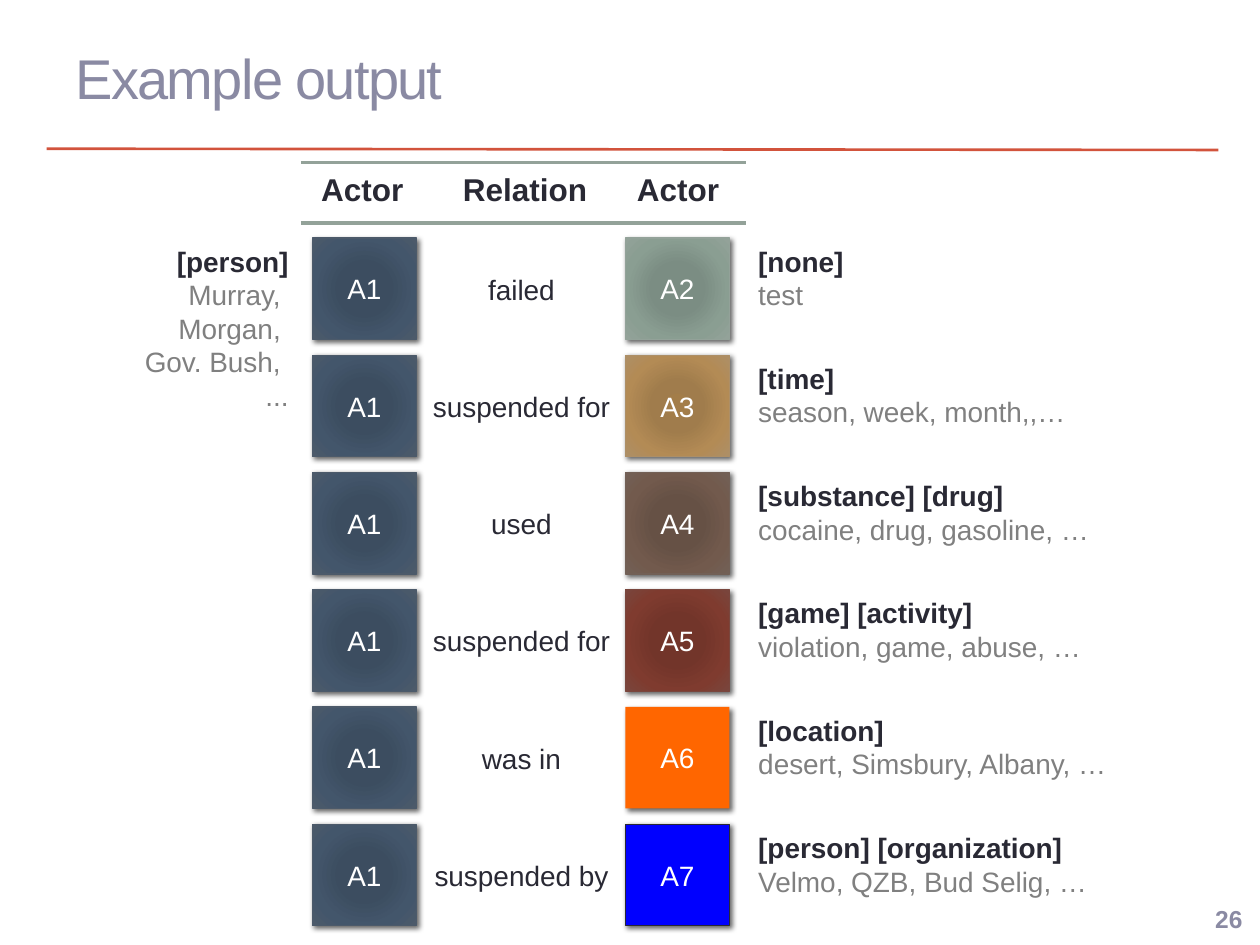
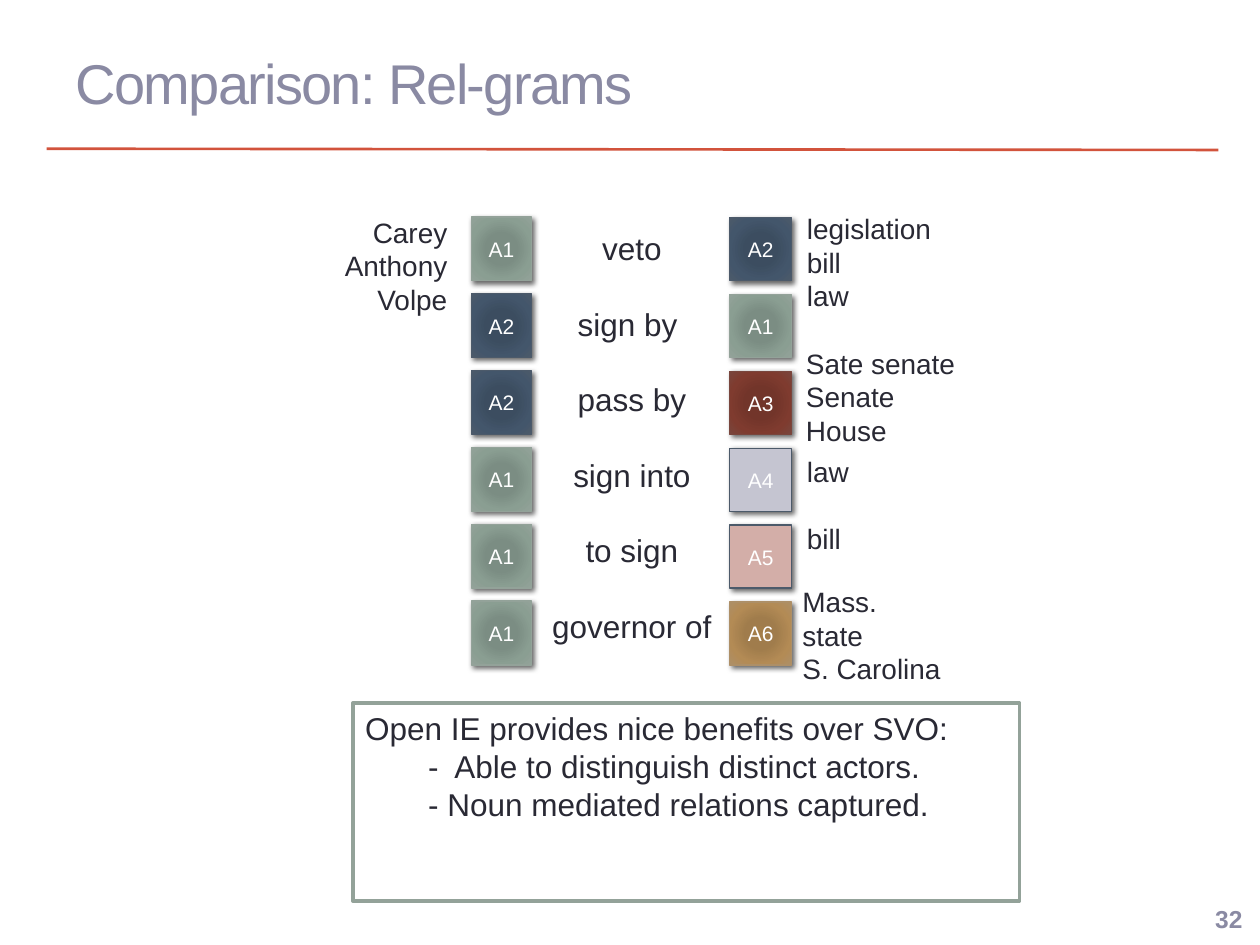
from lxml import etree
from pptx import Presentation
from pptx.dml.color import RGBColor
from pptx.enum.shapes import MSO_CONNECTOR, MSO_SHAPE
from pptx.enum.text import MSO_ANCHOR, PP_ALIGN
from pptx.oxml import parse_xml
from pptx.oxml.ns import nsdecls, qn
from pptx.util import Pt

LEFT, CENTER, RIGHT = PP_ALIGN.LEFT, PP_ALIGN.CENTER, PP_ALIGN.RIGHT
TOP, MIDDLE = MSO_ANCHOR.TOP, MSO_ANCHOR.MIDDLE
RECTANGLE, STRAIGHT = MSO_SHAPE.RECTANGLE, MSO_CONNECTOR.STRAIGHT

FONT = "Arial"
WHITE = RGBColor(0xFF, 0xFF, 0xFF)
INK = RGBColor(0x29, 0x29, 0x34)
GRAY = RGBColor(0x80, 0x80, 0x80)
LAVENDER = RGBColor(0x8A, 0x8A, 0xA3)
RED = RGBColor(0xD2, 0x53, 0x3C)
SAGE_EDGE = RGBColor(0x93, 0xA2, 0x99)
NAVY_EDGE = RGBColor(0x4C, 0x5A, 0x6A)
ORANGE = RGBColor(0xFF, 0x66, 0x00)
BLUE = RGBColor(0x00, 0x00, 0xFF)
PALE_LAVENDER = RGBColor(0xC5, 0xC5, 0xD1)
PALE_ROSE = RGBColor(0xD3, 0xAE, 0xA8)

STOPS = (0, 34, 70, 100)
NAVY = (RGBColor(0x3B, 0x4D, 0x61), RGBColor(0x3C, 0x4D, 0x60), RGBColor(0x43, 0x56, 0x6B), NAVY_EDGE)
SAGE = (RGBColor(0x7B, 0x8E, 0x82), RGBColor(0x7B, 0x8D, 0x83), RGBColor(0x8A, 0x9E, 0x92), SAGE_EDGE)
TAN = (RGBColor(0xA3, 0x7D, 0x49), RGBColor(0xA0, 0x7C, 0x4C),
       RGBColor(0xB3, 0x8B, 0x55), RGBColor(0xAD, 0x8F, 0x67))
BROWN = (RGBColor(0x68, 0x50, 0x44), RGBColor(0x66, 0x51, 0x45),
         RGBColor(0x72, 0x5A, 0x4D), RGBColor(0x72, 0x60, 0x56))
BRICK = (RGBColor(0x74, 0x33, 0x27), RGBColor(0x72, 0x35, 0x2A),
         RGBColor(0x7F, 0x3B, 0x2F), RGBColor(0x79, 0x46, 0x3D))

HEADERS = [("Actor", 207), ("Relation", 300), ("Actor", 387.5)]
PERSONS = ["[person]", "Murray, ", "Morgan, ", "Gov. Bush, ", "..."]
OUTPUT_ROWS = [
    ("failed", "A2", SAGE, SAGE_EDGE, ["[none]", "test"]),
    ("suspended for", "A3", TAN, TAN[-1], ["[time]", "season, week, month,,…"]),
    ("used", "A4", BROWN, BROWN[-1], ["[substance] [drug]", "cocaine, drug, gasoline, …"]),
    ("suspended for", "A5", BRICK, BRICK[-1], ["[game] [activity]", "violation, game, abuse, …"]),
    ("was in", "A6", ORANGE, None, ["[location]", "desert, Simsbury, Albany, …"]),
    ("suspended by", "A7", BLUE, INK, ["[person] [organization]", "Velmo, QZB, Bud Selig, …"]),
]

ACTORS = {
    "A1": (SAGE, SAGE_EDGE),
    "A2": (NAVY, NAVY_EDGE),
    "A3": (BRICK, BRICK[-1]),
    "A4": (PALE_LAVENDER, NAVY_EDGE),
    "A5": (PALE_ROSE, NAVY_EDGE),
    "A6": (TAN, TAN[-1]),
}
RELGRAMS = [
    ("A1", "veto", "A2"),
    ("A2", "sign by ", "A1"),
    ("A2", "pass by", "A3"),
    ("A1", "sign into", "A4"),
    ("A1", "to sign", "A5"),
    ("A1", "governor of", "A6"),
]
FILLERS = [
    (["Carey", "Anthony", "Volpe"], 175.7, 119.5, 87, RIGHT, 0),
    (["legislation", "bill", "law"], 454, 117.4, 103, LEFT, 0),
    (["Sate senate", "Senate", "House"], 453.5, 194.4, 103, LEFT, 0),
    (["law", "bill"], 454, 256.3, 103, LEFT, 19.2),
    (["Mass.", "state", "S. Carolina"], 451.5, 330.5, 103, LEFT, 0),
]
BENEFITS = ["Open IE provides nice benefits over SVO:",
            "-  Able to distinguish distinct actors.",
            "- Noun mediated relations captured."]


def write(shape, lines, size=16, color=INK, bold=False, align=LEFT, anchor=TOP,
          wrap=True, gap=0, indent=0, detail_color=None, tracking=0):
    frame = shape.text_frame
    frame.word_wrap = wrap
    frame.vertical_anchor = anchor
    for i, line in enumerate(lines):
        paragraph = frame.add_paragraph() if i else frame.paragraphs[0]
        paragraph.alignment = align
        paragraph.line_spacing = Pt(round(size * 1.2, 1))
        paragraph.space_before = Pt(gap if i else 0)
        if i and indent:
            paragraph._p.get_or_add_pPr().set("marL", str(Pt(indent)))
        run = paragraph.add_run()
        run.text = line
        detail = i > 0 and detail_color is not None
        run.font.name = FONT
        run.font.size = Pt(size)
        run.font.bold = bold and not detail
        run.font.color.rgb = detail_color if detail else color
        if tracking:
            run._r.get_or_add_rPr().set("spc", str(tracking * 100))


def add_text(slide, lines, x, y, width, height, **format):
    write(slide.shapes.add_textbox(Pt(x), Pt(y), Pt(width), Pt(height)), lines, **format)


def add_rule(slide, x1, y1, x2, y2, color, weight):
    rule = slide.shapes.add_connector(STRAIGHT, Pt(x1), Pt(y1), Pt(x2), Pt(y2))
    rule.line.color.rgb = color
    rule.line.width = Pt(weight)
    etree.SubElement(rule._element.spPr, qn("a:effectLst"))


def add_box(slide, x, y, width, height, fill, edge, weight):
    box = slide.shapes.add_shape(RECTANGLE, Pt(x), Pt(y), Pt(width), Pt(height))
    if isinstance(fill, RGBColor):
        box.fill.solid()
        box.fill.fore_color.rgb = fill
    else:
        stops = "".join(f'<a:gs pos="{pos * 1000}"><a:srgbClr val="{color}"/></a:gs>'
                        for pos, color in zip(STOPS, fill))
        box._element.spPr.insert(2, parse_xml(
            f'<a:gradFill {nsdecls("a")} rotWithShape="1"><a:gsLst>{stops}</a:gsLst>'
            '<a:path path="circle"><a:fillToRect l="100000" t="100000" r="100000" b="100000"/>'
            '</a:path></a:gradFill>'))
    if edge is None:
        box.line.fill.background()
    else:
        box.line.color.rgb = edge
        box.line.width = Pt(weight)
    box.shadow.inherit = False
    return box


def add_actor(slide, label, x, y, width, height, fill, edge, size):
    actor = add_box(slide, x, y, width, height, fill, edge, 0.75)
    actor._element.spPr.find(qn("a:effectLst")).append(parse_xml(
        f'<a:outerShdw {nsdecls("a")} blurRad="{Pt(3)}" dist="{Pt(2)}" dir="2700000" '
        'rotWithShape="0"><a:srgbClr val="000000"><a:alpha val="60000"/></a:srgbClr></a:outerShdw>'))
    write(actor, [label], size=size, color=WHITE, align=CENTER, anchor=MIDDLE)


def start_slide(deck, title, title_top, number):
    slide = deck.slides.add_slide(deck.slide_layouts[5])
    heading = slide.shapes.title
    heading.left, heading.top, heading.width, heading.height = Pt(36), Pt(title_top), Pt(648), Pt(78)
    write(heading, [title], size=32, color=LAVENDER, anchor=MIDDLE, tracking=-1)
    add_rule(slide, 26.6, 85, 696.2, 85.7, RED, 1.5)
    add_text(slide, [number], 674.6, 512, 42.5, 26, size=14, color=LAVENDER,
             bold=True, align=RIGHT, anchor=MIDDLE)
    return slide


def build_output(deck):
    slide = start_slide(deck, "Example output", 5, "26")
    for y in (92.9, 127.4):
        add_rule(slide, 172, y, 426.2, y, SAGE_EDGE, 2.08)
    for header, center in HEADERS:
        add_text(slide, [header], center - 43, 93.5, 86, 29, size=18, bold=True,
                 align=CENTER, wrap=False)
    add_text(slide, PERSONS, 55.4, 136, 116.6, 104, bold=True, align=RIGHT, detail_color=GRAY)
    for row, (relation, label, fill, edge, examples) in enumerate(OUTPUT_ROWS):
        y = 136 + 67 * row
        add_actor(slide, "A1", 178.5, y, 59.5, 58, NAVY, NAVY_EDGE, 16)
        add_text(slide, [relation], 238.5, y + 16, 119, 26, align=CENTER)
        add_actor(slide, label, 357.3, y, 59.5, 58, fill, edge, 16)
        add_text(slide, examples, 426.2, y, 250, 46, bold=True, detail_color=GRAY)


def build_comparison(deck):
    slide = start_slide(deck, "Comparison: Rel-grams", 8, "32")
    benefits = add_box(slide, 201.6, 401.8, 381, 113, WHITE, SAGE_EDGE, 2.08)
    write(benefits, BENEFITS, size=18, indent=36)
    add_text(slide, [relation for _, relation, _ in RELGRAMS], 304.6, 127.4, 113, 269,
             size=18, align=CENTER, gap=21.6)
    for row, (subject, _, target) in enumerate(RELGRAMS):
        y = 124 + 43.9 * row
        add_actor(slide, subject, 269.3, y, 34.5, 36.5, *ACTORS[subject], 12)
        add_actor(slide, target, 417, y + 0.5, 35.3, 36, *ACTORS[target], 12)
    for names, x, y, width, align, gap in FILLERS:
        add_text(slide, names, x, y, width, 65.5, align=align, gap=gap)


def main():
    deck = Presentation()
    deck.slide_width, deck.slide_height = Pt(720), Pt(540)
    build_output(deck)
    build_comparison(deck)
    deck.save("out.pptx")


if __name__ == "__main__":
    main()
